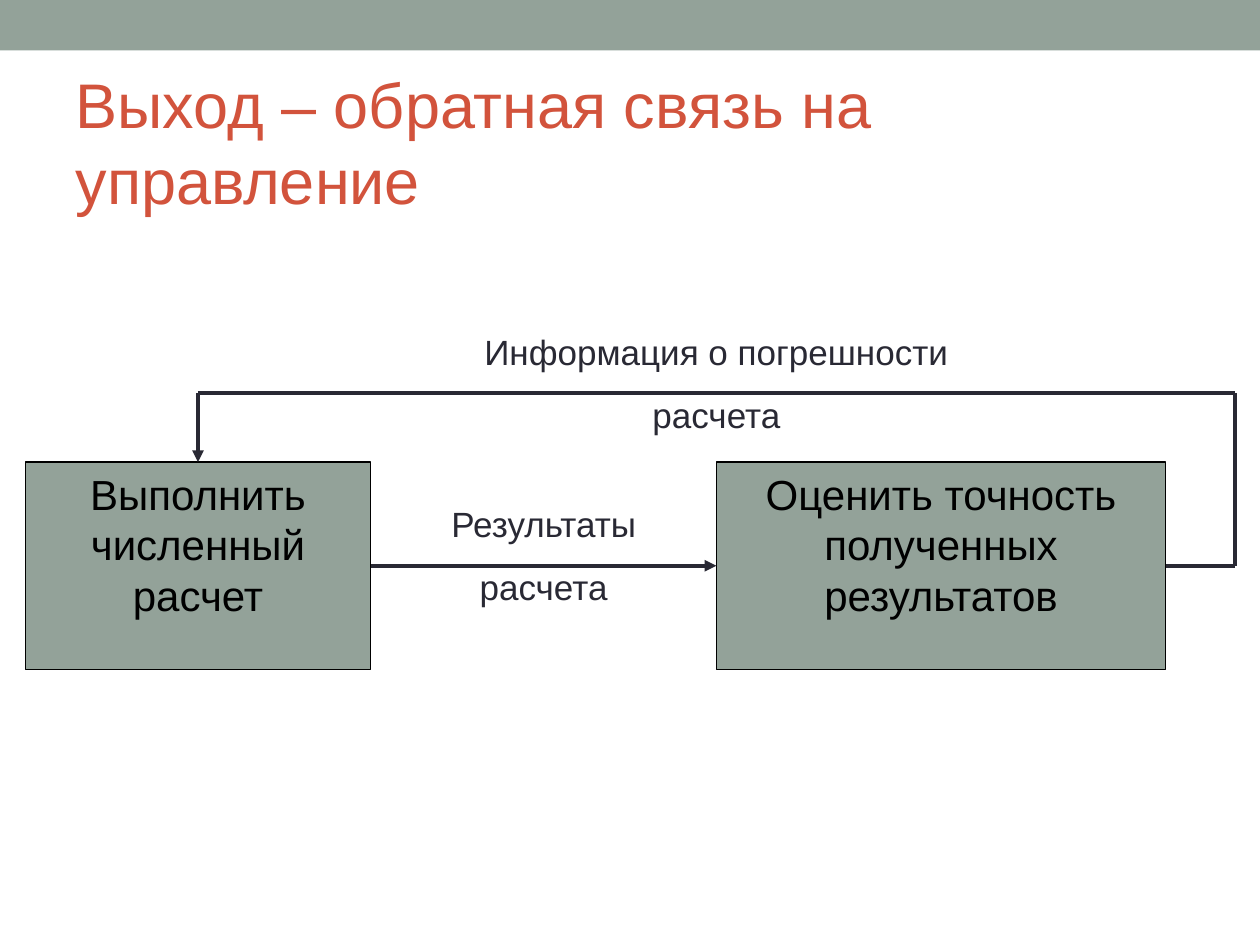
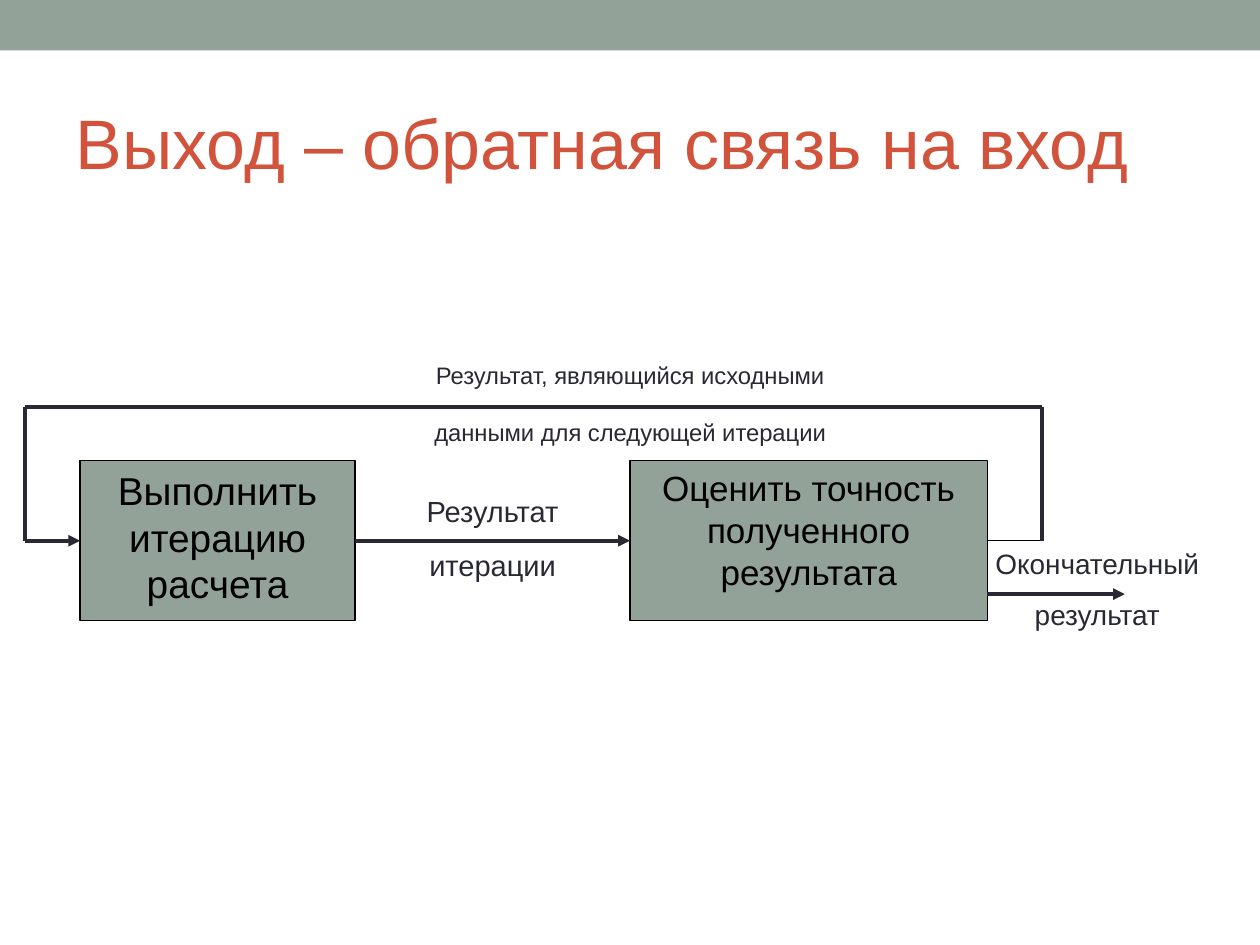
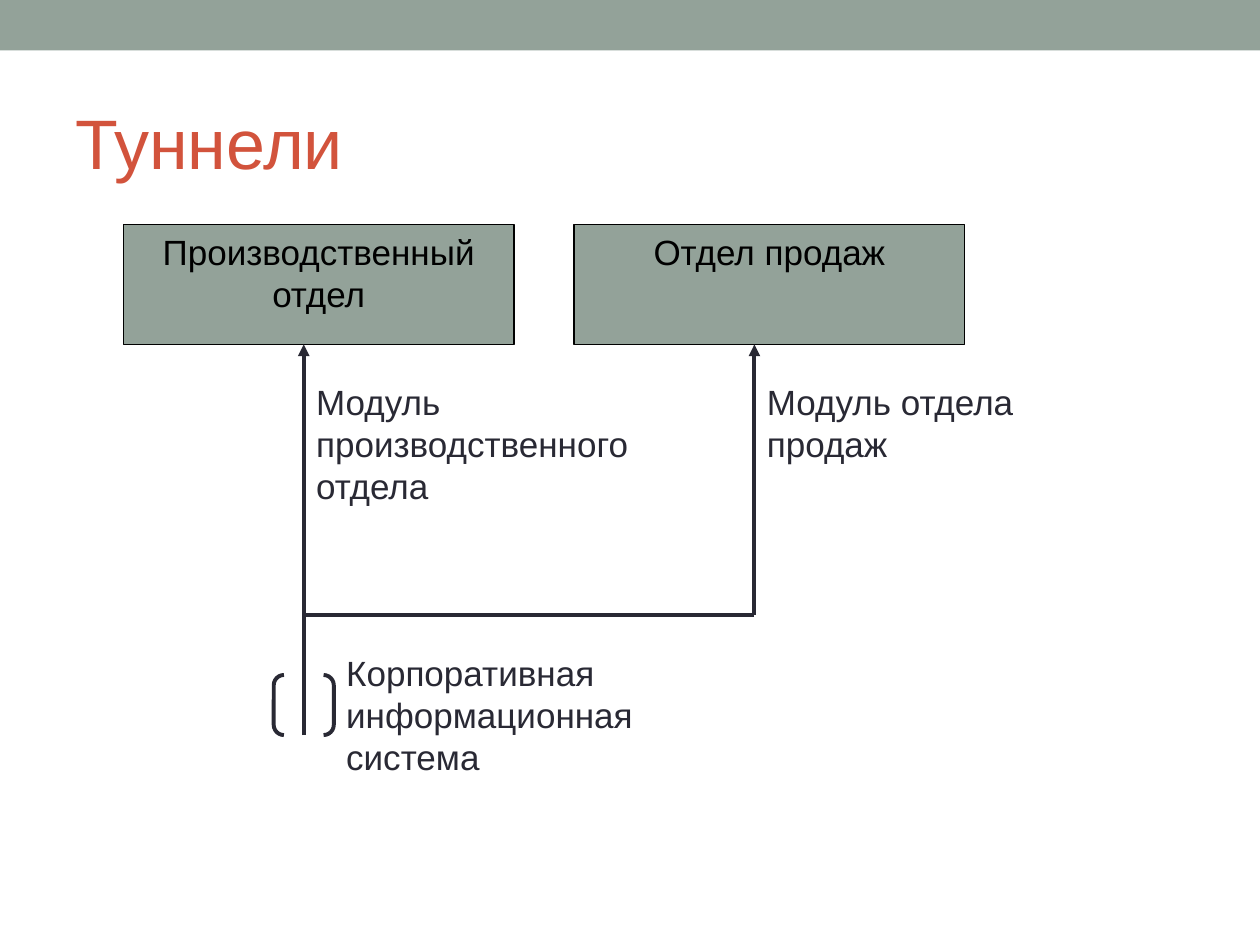
from dataclasses import dataclass
from typing import NamedTuple

from lxml.etree import SubElement
from pptx import Presentation
from pptx.dml.color import RGBColor
from pptx.enum.shapes import MSO_CONNECTOR, MSO_SHAPE
from pptx.enum.text import MSO_ANCHOR, MSO_AUTO_SIZE, PP_ALIGN
from pptx.oxml.ns import qn
from pptx.util import Inches, Pt

TOP, LEFT, BOTTOM, RIGHT = range(4)


@dataclass(frozen=True)
class Theme:
    font: str = "Arial"
    band: RGBColor = RGBColor(0x93, 0xA2, 0x99)
    title: RGBColor = RGBColor(0xD2, 0x53, 0x3C)
    ink: RGBColor = RGBColor(0x29, 0x29, 0x34)
    black: RGBColor = RGBColor(0, 0, 0)
    title_size: float = 40
    long_title_size: float = 36
    large_size: float = 24
    body_size: float = 20
    border: float = 0.75
    arrow: float = 2.25
    line_height: float = 1.2


THEME = Theme()


class Grid(NamedTuple):
    """Diagram grid: origin and cell size in inches."""
    left: float
    top: float
    col: float
    row: float

    def point(self, col: float, row: float) -> tuple:
        return Inches(self.left + col * self.col), Inches(self.top + row * self.row)

    def area(self, col: float, row: float, cols: float, rows: float) -> tuple:
        return *self.point(col, row), Inches(cols * self.col), Inches(rows * self.row)


class Box(NamedTuple):
    text: str
    cell: tuple
    size: float = THEME.body_size


class Label(NamedTuple):
    lines: tuple
    cell: tuple
    size: float = THEME.body_size
    gap: float = 0  # size of the gap between lines, as a type size
    align: PP_ALIGN = PP_ALIGN.CENTER


class Link(NamedTuple):
    """A line between grid points; a joint is (box index, side)."""
    start: tuple
    end: tuple
    arrow: bool = False
    begin_joint: tuple | None = None
    end_joint: tuple | None = None
    color: RGBColor = THEME.ink
    width: float = THEME.arrow


def write(tf, *lines: str, size: float, color: RGBColor, align=PP_ALIGN.LEFT,
          anchor=MSO_ANCHOR.TOP, gap: float = 0) -> None:
    tf.word_wrap = True
    tf.auto_size = MSO_AUTO_SIZE.NONE
    tf.vertical_anchor = anchor
    for i, line in enumerate(lines):
        p = tf.add_paragraph() if i else tf.paragraphs[0]
        p.alignment = align
        p.space_before = Pt(gap * THEME.line_height if i else 0)
        r = p.add_run()
        r.text = line
        r.font.name, r.font.size = THEME.font, Pt(size)
        r.font.color.rgb = color


def add_band(prs, layout, s) -> None:
    """Draw the top band and move it to the layout, behind the title."""
    band = s.shapes.add_shape(MSO_SHAPE.RECTANGLE, 0, 0, prs.slide_width, Inches(0.4))
    band.shadow.inherit = False
    band.fill.solid()
    band.fill.fore_color.rgb = THEME.band
    band.line.fill.background()
    layout.shapes.element.insert(2, band.element)


def add_title(s, text: str, size: float = THEME.title_size) -> None:
    sp = s.shapes.title
    sp.left, sp.top, sp.width, sp.height = map(Inches, (0.5, 0.58, 9, 1.08))
    write(sp.text_frame, text, size=size, color=THEME.title, anchor=MSO_ANCHOR.MIDDLE)


def add_box(s, grid: Grid, box: Box):
    sp = s.shapes.add_shape(MSO_SHAPE.RECTANGLE, *grid.area(*box.cell))
    sp.shadow.inherit = False
    sp.fill.solid()
    sp.fill.fore_color.rgb = THEME.band
    sp.line.color.rgb, sp.line.width = THEME.black, Pt(THEME.border)
    write(sp.text_frame, box.text, size=box.size, color=THEME.black, align=PP_ALIGN.CENTER)
    return sp


def add_label(s, grid: Grid, label: Label) -> None:
    sp = s.shapes.add_textbox(*grid.area(*label.cell))
    write(sp.text_frame, *label.lines, size=label.size, color=THEME.ink,
          align=label.align, gap=label.gap)


def add_link(s, grid: Grid, link: Link, boxes: list) -> None:
    c = s.shapes.add_connector(MSO_CONNECTOR.STRAIGHT,
                               *grid.point(*link.start), *grid.point(*link.end))
    if link.begin_joint:
        index, side = link.begin_joint
        c.begin_connect(boxes[index], side)
    if link.end_joint:
        index, side = link.end_joint
        c.end_connect(boxes[index], side)
    c.line.color.rgb, c.line.width = link.color, Pt(link.width)
    if link.arrow:
        SubElement(c.element.spPr.find(qn("a:ln")), qn("a:tailEnd"), type="triangle")
    SubElement(c.element.spPr, qn("a:effectLst"))


def add_diagram(s, grid: Grid, boxes: list, labels: list, links: list) -> None:
    shapes = [add_box(s, grid, box) for box in boxes]
    for link in links:
        add_link(s, grid, link, shapes)
    for label in labels:
        add_label(s, grid, label)


def build_control_feedback(s) -> None:
    add_title(s, "Выход – обратная связь на управление", THEME.long_title_size)
    add_diagram(
        s, Grid(0.2, 2.57, 9.6 / 35, 9.6 / 35),
        [Box("Выполнить численный расчет", (0, 4, 10, 6), THEME.large_size),
         Box("Оценить точность полученных результатов", (20, 4, 13, 6), THEME.large_size)],
        [Label(("Результаты", "расчета"), (11, 5, 8, 4), gap=10),
         Label(("Информация о погрешности", "расчета"), (10, 0, 20, 4), gap=10)],
        [Link((10, 7), (20, 7), True, (0, RIGHT), (1, LEFT)),
         Link((33, 7), (35, 7), begin_joint=(1, RIGHT)),
         Link((35, 7), (35, 2)),
         Link((5, 2), (35, 2)),
         Link((5, 2), (5, 4), True, end_joint=(0, TOP))])


def build_input_feedback(s) -> None:
    add_title(s, "Выход – обратная связь на вход")
    add_diagram(
        s, Grid(0.2, 2.81, 9.6 / 44, 1.27 / 6),
        [Box("Выполнить итерацию расчета", (2, 4, 10, 6), 22.2),
         Box("Оценить точность полученного результата", (22, 4, 13, 6))],
        [Label(("Результат", "итерации"), (13, 5, 8, 4), 16.6, 9.2),
         Label(("Результат, являющийся исходными", "данными для следующей итерации"),
               (12, 0, 20, 4), 13.6, 13.6),
         Label(("Окончательный", "результат"), (34, 7, 10, 4), 16, 8)],
        [Link((12, 7), (22, 7), True, (0, RIGHT), (1, LEFT)),
         Link((35, 7), (37, 7), begin_joint=(1, RIGHT),
              color=THEME.black, width=THEME.border),
         Link((37, 7), (37, 2)),
         Link((0, 2), (37, 2)),
         Link((0, 2), (0, 7)),
         Link((0, 7), (2, 7), True, end_joint=(0, LEFT)),
         Link((35, 9), (40, 9), True)])


def build_tunnels(s) -> None:
    add_title(s, "Туннели")
    grid = Grid(0.98, 1.78, 3.1 / 13, 3.1 / 13)
    add_diagram(
        s, grid,
        [Box("Производственный отдел", (0, 0, 13, 4)),
         Box("Отдел продаж", (15, 0, 13, 4))],
        [Label((text,), cell, align=PP_ALIGN.LEFT) for text, cell in (
            ("Модуль производственного отдела", (6, 5, 13, 6)),
            ("Модуль отдела продаж", (21, 5, 11, 6)),
            ("Корпоративная информационная система", (7, 14, 12, 6)))],
        [Link((6, 17), (6, 4), True),
         Link((6, 13), (21, 13)),
         Link((21, 13), (21, 4), True)])
    tunnel = s.shapes.add_shape(MSO_SHAPE.DOUBLE_BRACKET, *grid.area(5, 15, 2, 2))
    tunnel.shadow.inherit = False
    tunnel.adjustments[0] = 0.17
    tunnel.fill.background()
    tunnel.line.color.rgb, tunnel.line.width = THEME.ink, Pt(THEME.arrow)


def main() -> None:
    prs = Presentation()
    prs.slide_width, prs.slide_height = Inches(10), Inches(7.5)
    title_only = prs.slide_layouts[5]
    builders = (build_control_feedback, build_input_feedback, build_tunnels)
    slides = [prs.slides.add_slide(title_only) for _ in builders]
    add_band(prs, title_only, slides[0])
    for build, s in zip(builders, slides):
        build(s)
    prs.save("out.pptx")


if __name__ == "__main__":
    main()
